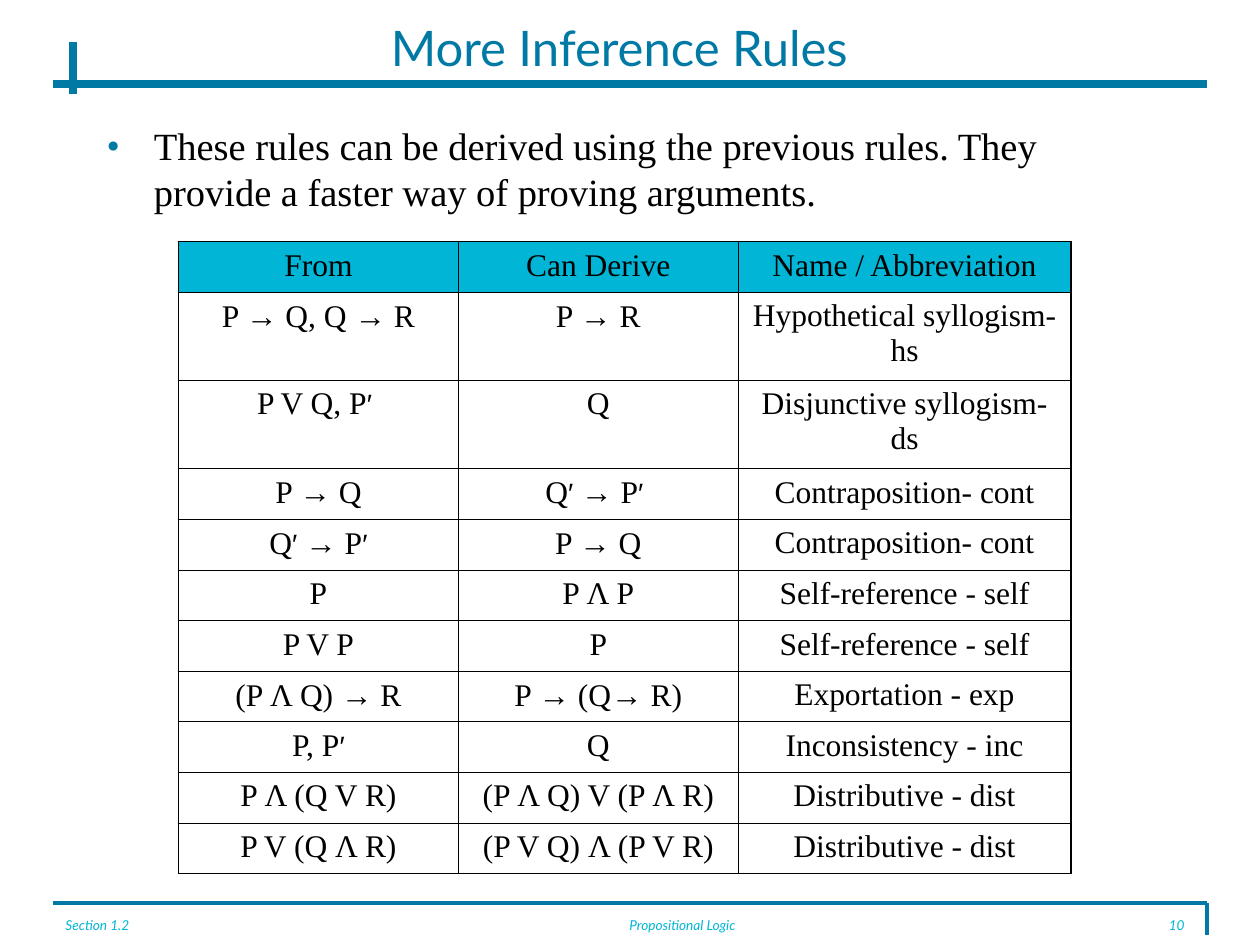
from itertools import groupby
from lxml.etree import SubElement
from pptx import Presentation
from pptx.dml.color import RGBColor
from pptx.enum.shapes import MSO_CONNECTOR
from pptx.enum.text import MSO_ANCHOR, MSO_AUTO_SIZE, PP_ALIGN
from pptx.oxml.ns import qn
from pptx.util import Cm, Pt

BLUE = RGBColor(0x00, 0x7A, 0xA5)
CYAN = RGBColor(0x00, 0xB5, 0xD6)
BLACK = RGBColor(0x00, 0x00, 0x00)
SERIF, SANS = "Times New Roman", "Lato"


def write(frame, text, size=18, font=SERIF, color=BLACK, align=PP_ALIGN.CENTER,
          italic=False, spacing=1.0):
    """Write one paragraph; arrows and primes go in Arial, primes smaller."""
    frame.word_wrap = True
    para = frame.paragraphs[0]
    para.alignment = align
    para.line_spacing = spacing
    para.space_before = Pt(0)
    for sign, chars in groupby(text, lambda c: c if c in "→′" else ""):
        run = para.add_run()
        run.text = "".join(chars)
        run.font.size = Pt(16 if sign == "′" else size)
        run.font.name = "Arial" if sign else font
        run.font.color.rgb = color
        run.font.italic = italic


deck = Presentation()
deck.slide_width, deck.slide_height = Cm(25.4), Cm(19.05)
slide = deck.slides.add_slide(deck.slide_layouts[1])
shapes = slide.shapes

# Frame lines
left, right, foot = 1.07, 24.33, 18.21
for x1, y1, x2, y2, width in [
    (left, foot, right, foot, 2.25),
    (right, foot, right, 18.85, 2.25),
    (left, 1.7, right, 1.7, 4.5),
    (1.48, 0.84, 1.48, 1.9, 4.5),
]:
    rule = shapes.add_connector(MSO_CONNECTOR.STRAIGHT, Cm(x1), Cm(y1), Cm(x2), Cm(y2))
    rule.line.color.rgb = BLUE
    rule.line.width = Pt(width)
    SubElement(rule._element.spPr, qn("a:effectLst"))

# Footer
for text, x, width, align in [
    ("Section 1.2", 1.07, 4.45, PP_ALIGN.LEFT),
    ("Propositional Logic", 8.47, 10.58, PP_ALIGN.CENTER),
    ("10", 22.23, 1.9, PP_ALIGN.RIGHT),
]:
    box = shapes.add_textbox(Cm(x), Cm(18.42), Cm(width), Cm(0.64))
    write(box.text_frame, text, size=7.8, font=SANS, color=CYAN, align=align,
          italic=True, spacing=0.8)

# Title
title = shapes.title
title.left, title.top, title.width, title.height = Cm(1.69), Cm(0.42), Cm(21.59), Cm(1.06)
title.text_frame.auto_size = MSO_AUTO_SIZE.NONE
title.text_frame.vertical_anchor = MSO_ANCHOR.MIDDLE
write(title.text_frame, "More Inference Rules", size=28, font=SANS, color=BLUE)

# Bulleted statement
body = slide.placeholders[1]
body.left, body.top, body.width, body.height = Cm(1.9), Cm(2.33), Cm(21.59), Cm(15.24)
body.text_frame.auto_size = MSO_AUTO_SIZE.NONE
props = body.text_frame.paragraphs[0]._p.get_or_add_pPr()
props.set("marL", str(Cm(0.95)))
props.set("indent", str(-Cm(0.95)))
tint = SubElement(props, qn("a:buClr"))
SubElement(tint, qn("a:srgbClr"), val=str(BLUE))
SubElement(props, qn("a:buSzPct"), val="55000")
SubElement(props, qn("a:buFont"), typeface="Arial")
SubElement(props, qn("a:buChar"), char="●")
write(body.text_frame, "These rules can be derived using the previous rules. "
      "They provide a faster way of proving arguments.", size=22, align=PP_ALIGN.LEFT)

# Table of rules
rules = [
    ("From", "Can Derive", "Name / Abbreviation"),
    ("P → Q, Q → R", "P → R", "Hypothetical syllogism- hs"),
    ("P V Q, P′ ", "Q", "Disjunctive syllogism- ds"),
    ("P → Q", "Q′ → P′ ", "Contraposition- cont"),
    ("Q′ → P′", "P → Q", "Contraposition- cont"),
    ("P", "P Λ P", "Self-reference - self"),
    ("P V P", "P", "Self-reference - self"),
    ("(P Λ Q) → R", "P → (Q→ R)", "Exportation - exp"),
    ("P, P′", "Q", "Inconsistency - inc"),
    ("P Λ (Q V R)", "(P Λ Q) V (P Λ R)", "Distributive - dist"),
    ("P V (Q Λ R)", "(P V Q) Λ (P V R)", "Distributive - dist"),
]
widths = [5.64, 5.64, 6.71]
heights = [1.78 if "syllogism" in rule[2] else 1.02 for rule in rules]
last, end = len(rules) - 1, len(widths) - 1
table = shapes.add_table(len(rules), len(widths), Cm(3.6), Cm(4.87),
                         Cm(sum(widths)), Cm(sum(heights))).table
table.first_row = table.horz_banding = False
for col, width in zip(table.columns, widths):
    col.width = Cm(width)
for row, height in zip(table.rows, heights):
    row.height = Cm(height)

for i, rule in enumerate(rules):
    for j, text in enumerate(rule):
        cell = table.cell(i, j)
        write(cell.text_frame, text)
        # Outer edges are thicker than inner ones
        edges = {"L": j == 0, "R": j == end, "T": i == 0, "B": i == last}
        props = cell._tc.get_or_add_tcPr()
        for side, outer in edges.items():
            line = SubElement(props, qn("a:ln" + side), w=str(Pt(1.08 if outer else 0.45)))
            fill = SubElement(line, qn("a:solidFill"))
            SubElement(fill, qn("a:srgbClr"), val=str(BLACK))
        if i == 0:
            cell.fill.solid()
            cell.fill.fore_color.rgb = CYAN
        else:
            cell.fill.background()

deck.save("out.pptx")
